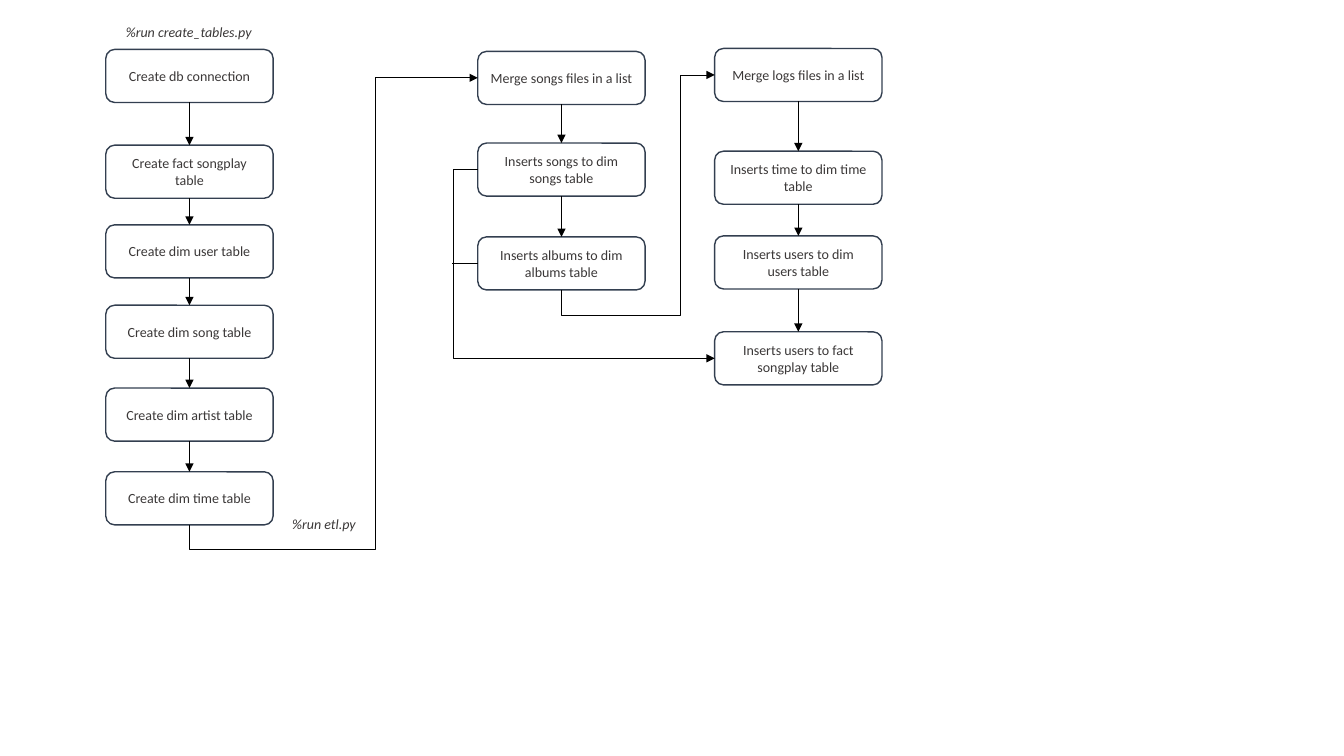
from itertools import pairwise

from pptx import Presentation
from pptx.dml.color import RGBColor
from pptx.enum import shapes, text
from pptx.oxml import ns, xmlchemy
from pptx.util import Pt

FONT, INK, BORDER, WIRE = "Calibri", "3B3838", "333F50", "000000"
BOX_WIDTH, BOX_HEIGHT = 119.5, 37.9

# Each column: left edge, then the top and wording of every step
CREATE_TABLES = (75.6, [
    (35.3, "Create db connection"),
    (103.7, "Create fact songplay table"),
    (160.6, "Create dim user table"),
    (218, "Create dim song table"),
    (277.2, "Create dim artist table"),
    (337, "Create dim time table"),
])
LOAD_SONGS = (341.3, [
    (36.7, "Merge songs files in a list"),
    (102.2, "Inserts songs to dim songs table"),
    (169.2, "Inserts albums to dim albums table"),
])
LOAD_LOGS = (510.5, [
    (34.6, "Merge logs files in a list"),
    (108, "Inserts time to dim time table"),
    (168.5, "Inserts users to dim users table"),
    (237, "Inserts users to fact songplay table"),
])


def color(code):
    return RGBColor.from_string(code)


def write(shape, words, italic=False):
    para = shape.text_frame.paragraphs[0]
    para.text = words
    font = para.font
    font.name, font.size, font.italic = FONT, Pt(10), italic
    font.color.rgb = color(INK)
    return para


def add_label(page, left, top, words):
    box = page.shapes.add_textbox(Pt(left), Pt(top), Pt(132.5), Pt(19.4))
    box.text_frame.word_wrap = True
    box.text_frame.auto_size = text.MSO_AUTO_SIZE.SHAPE_TO_FIT_TEXT
    write(box, words, italic=True)


def add_step(page, left, top, words):
    box = page.shapes.add_shape(shapes.MSO_SHAPE.ROUNDED_RECTANGLE,
                                Pt(left), Pt(top), Pt(BOX_WIDTH), Pt(BOX_HEIGHT))
    box.shadow.inherit = False
    box.fill.background()
    box.line.color.rgb = color(BORDER)
    box.line.width = Pt(1)
    box.text_frame.word_wrap = True
    box.text_frame.vertical_anchor = text.MSO_ANCHOR.MIDDLE
    write(box, words).alignment = text.PP_ALIGN.CENTER
    return box


def add_wire(page, start, end, kind=shapes.MSO_CONNECTOR.STRAIGHT, arrow=True):
    wire = page.shapes.add_connector(kind, *map(Pt, start + end))
    wire.line.color.rgb = color(WIRE)
    wire.line.width = Pt(0.5)
    if arrow:
        xmlchemy.OxmlElement("a:tailEnd")
        tail = xmlchemy.OxmlElement("a:tailEnd")
        tail.set("type", "triangle")
        wire.line._get_or_add_ln().append(tail)
    wire._element.spPr.append(xmlchemy.OxmlElement("a:effectLst"))
    return wire


def set_bends(wire, preset, *shares):
    """Choose the elbow preset and place its bends, as shares of its size."""
    geometry = wire._element.spPr.find(ns.qn("a:prstGeom"))
    geometry.set("prst", preset)
    guides = geometry.find(ns.qn("a:avLst"))
    for number, share in enumerate(shares, 1):
        guide = xmlchemy.OxmlElement("a:gd")
        guide.set("name", f"adj{number}")
        guide.set("fmla", f"val {round(share * 100000)}")
        guides.append(guide)


def add_side_elbow(page, start, end, bend_x):
    """Leave sideways to bend_x, run vertically, then enter the end sideways."""
    wire = add_wire(page, start, end, shapes.MSO_CONNECTOR.ELBOW)
    set_bends(wire, "bentConnector3", (bend_x - start[0]) / (end[0] - start[0]))


def add_rising_elbow(page, start, end, low_y, bend_x):
    """Drop to low_y, go right to bend_x, rise, then enter the end sideways."""
    across, rise = end[0] - start[0], start[1] - end[1]
    mid_x, mid_y = (start[0] + end[0]) / 2, (start[1] + end[1]) / 2
    # A quarter turn swaps the sides of the frame around its centre
    wire = add_wire(page, (mid_x + rise / 2, mid_y + across / 2),
                    (mid_x - rise / 2, mid_y - across / 2),
                    shapes.MSO_CONNECTOR.ELBOW)
    wire._element.spPr.find(ns.qn("a:xfrm")).set("rot", "5400000")
    set_bends(wire, "bentConnector4",
              (start[1] - low_y) / rise, (bend_x - start[0]) / across)


def add_column(page, left, steps):
    boxes = [add_step(page, left, top, words) for top, words in steps]
    for upper, lower in pairwise(boxes):
        wire = add_wire(page, (0, 0), (0, 0))
        wire.begin_connect(upper, 2)
        wire.end_connect(lower, 0)
    return boxes


def left_side(box):
    return box.left.pt, box.top.pt + BOX_HEIGHT / 2


def bottom(box):
    return box.left.pt + BOX_WIDTH / 2, box.top.pt + BOX_HEIGHT


def main():
    deck = Presentation()
    deck.slide_width, deck.slide_height = Pt(960), Pt(540)
    page = deck.slides.add_slide(deck.slide_layouts[6])

    # Three columns of steps
    tables, songs, logs = [add_column(page, *column) for column in
                           (CREATE_TABLES, LOAD_SONGS, LOAD_LOGS)]

    # Script names
    add_label(page, 82.8, 13.2, "%run create_tables.py")
    add_label(page, 201.6, 364.7, "%run etl.py")

    # Links between columns
    add_rising_elbow(page, bottom(tables[-1]), left_side(songs[0]), 392.4, 268.2)
    add_rising_elbow(page, bottom(songs[-1]), left_side(logs[0]), 225.4, 486)
    add_side_elbow(page, left_side(songs[1]), left_side(logs[-1]), 323.8)

    # Albums join the songs link
    albums = left_side(songs[-1])
    add_wire(page, albums, (322.9, albums[1]), arrow=False)

    deck.save("out.pptx")


main()
